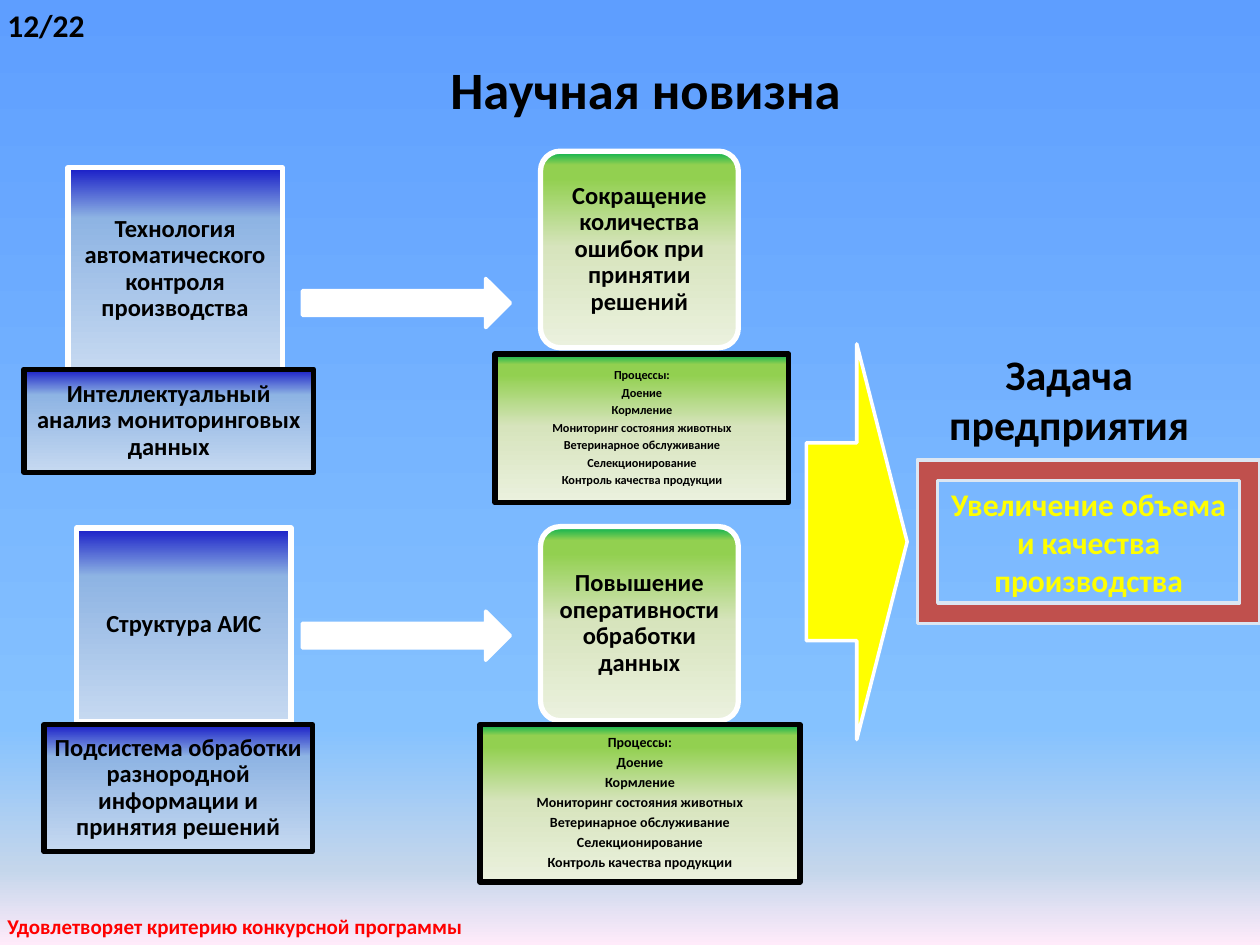
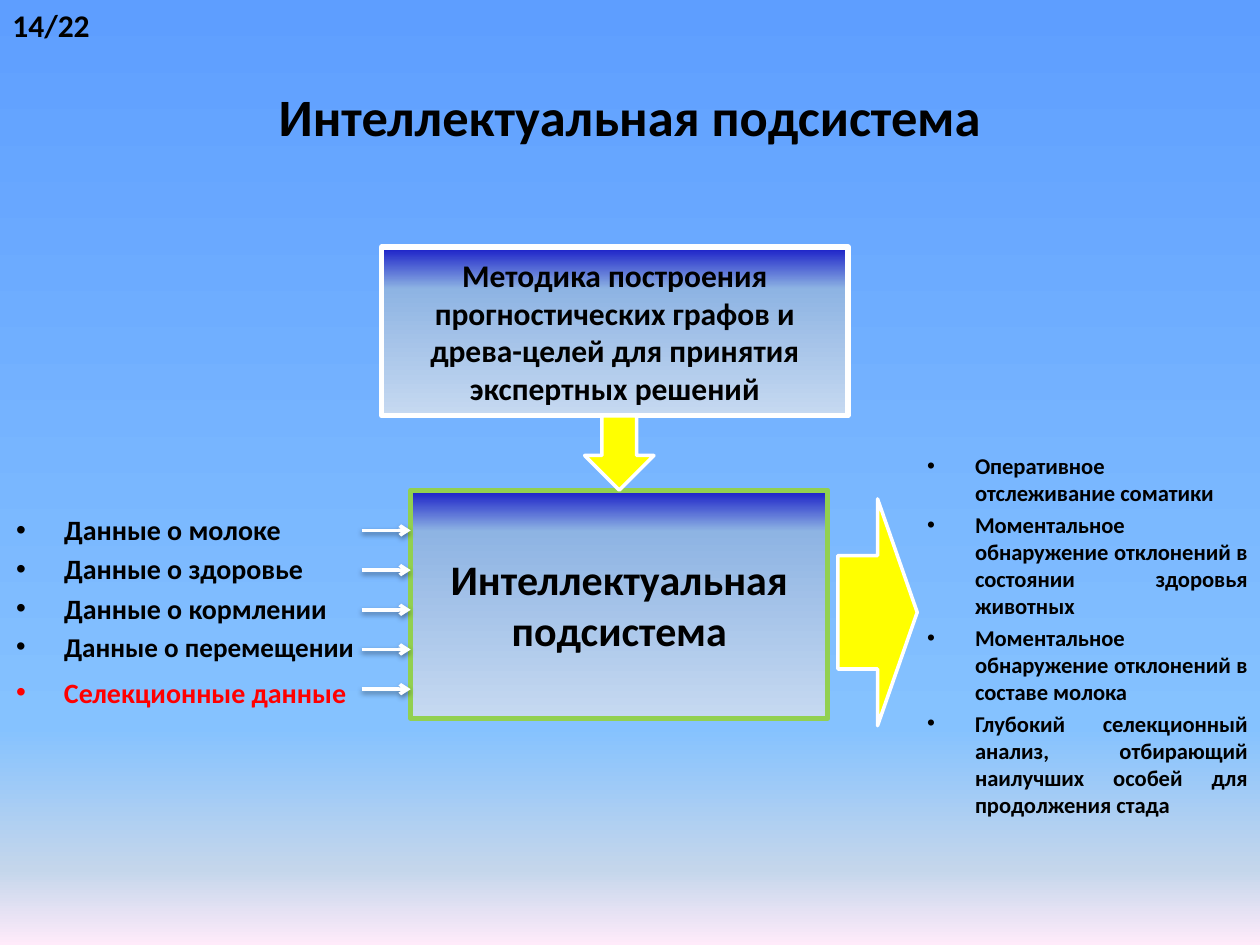
from lxml.etree import SubElement
from pptx import Presentation
from pptx.dml.color import RGBColor
from pptx.enum.shapes import MSO_CONNECTOR, MSO_SHAPE
from pptx.enum.text import MSO_ANCHOR, MSO_AUTO_SIZE, PP_ALIGN
from pptx.oxml.ns import qn
from pptx.util import Inches, Pt

COLORS = {
    "black": "000000", "white": "FFFFFF", "red": "FF0000", "yellow": "FFFF00",
    "lime": "92D050", "brick": "C0504D", "pale": "DCE6F2",
}
GRADIENTS = {
    "sky": ((0, "5E9EFF"), (77, "85C2FF"), (92, "C4D6EB"), (100, "FFEBFA")),
    "blue": ((0, "C6D9F1"), (75, "8EB4E3"), (100, "181CC7")),
    "blue_low": ((0, "C6D9F1"), (82, "8EB4E3"), (100, "181CC7")),
    "green": ((0, "EBF1DE"), (51, "D7E4BD"), (86, "92D050"), (93, "92D050"), (100, "00B050")),
}
FONT = "Calibri"
CENTER, LEFT, JUSTIFY = PP_ALIGN.CENTER, PP_ALIGN.LEFT, PP_ALIGN.JUSTIFY
COMPACT = {"inset": 0.06, "line_spacing": 0.9, "after": 0.35}
PROCESSES = (
    "Процессы:", "Доение", "Кормление", "Мониторинг состояния животных",
    "Ветеринарное обслуживание", "Селекционирование", "Контроль качества продукции",
)


def rgb(name):
    return RGBColor.from_string(COLORS[name])


class Deck:
    def __init__(self, prs):
        self.prs = prs
        self.s = None

    def gradient(self, fill, root, name, angle):
        fill.gradient()
        fill.gradient_angle = angle
        stops = root.find(".//" + qn("a:gsLst"))
        for stop in list(stops):
            stops.remove(stop)
        for pos, color in GRADIENTS[name]:
            gs = SubElement(stops, qn("a:gs"), pos=str(pos * 1000))
            SubElement(gs, qn("a:srgbClr"), val=color)

    def slide(self, title, at, size, number, number_left):
        self.s = self.prs.slides.add_slide(self.prs.slide_layouts[5])
        self.gradient(self.s.background.fill, self.s._element, "sky", 270)
        sp = self.s.shapes.title
        sp.left, sp.top, sp.width, sp.height = map(Inches, at)
        self.put_text(sp, title, size)
        self.text(number, (number_left, 0, 0.82, 0.4), 18, wrap=False)

    def put_text(self, sp, lines, size, color="black", align=CENTER, anchor=MSO_ANCHOR.MIDDLE,
                 wrap=True, inset=None, line_spacing=None, before=0, after=0, bullet=False):
        tf = sp.text_frame
        frame = {"word_wrap": wrap, "vertical_anchor": anchor,
                 "auto_size": MSO_AUTO_SIZE.NONE if wrap else MSO_AUTO_SIZE.SHAPE_TO_FIT_TEXT}
        if inset is not None:
            for side in ("left", "top", "right", "bottom"):
                frame["margin_" + side] = Inches(inset)
        for key, value in frame.items():
            setattr(tf, key, value)
        lines = (lines,) if isinstance(lines, str) else lines
        sizes = size if isinstance(size, tuple) else (size,) * len(lines)
        for i, (words, pt) in enumerate(zip(lines, sizes)):
            p = tf.paragraphs[0] if i == 0 else tf.add_paragraph()
            layout = {"alignment": align, "line_spacing": line_spacing,
                      "space_before": Pt(before * pt), "space_after": Pt(after * pt)}
            for key, value in layout.items():
                setattr(p, key, value)
            r = p.add_run()
            r.text = words
            for key, value in {"name": FONT, "size": Pt(pt), "bold": True}.items():
                setattr(r.font, key, value)
            r.font.color.rgb = rgb(color)
            if bullet:
                pPr = p._p.get_or_add_pPr()
                pPr.set("marL", str(Inches(0.53)))
                pPr.set("indent", str(Inches(-0.38)))
                SubElement(pPr, qn("a:buFont"), typeface="Arial")
                SubElement(pPr, qn("a:buChar"), char="•")

    def text(self, lines, at, size, **style):
        sp = self.s.shapes.add_textbox(*map(Inches, at))
        self.put_text(sp, lines, size, **{"align": LEFT, "anchor": MSO_ANCHOR.TOP, **style})

    def bullets(self, lines, at, size, color="black"):
        self.text(lines, at, size, color=color, align=JUSTIFY, before=0.2, bullet=True)

    def shape(self, kind, at, fill, border="white", width=2):
        sp = self.s.shapes.add_shape(kind, *map(Inches, at))
        sp.shadow.inherit = False
        if fill in GRADIENTS:
            self.gradient(sp.fill, sp._element, fill, 90)
        else:
            sp.fill.solid()
            sp.fill.fore_color.rgb = rgb(fill)
        sp.line.color.rgb = rgb(border)
        sp.line.width = Pt(width)
        return sp

    def box(self, lines, at, fill, size=14, border="white", kind=MSO_SHAPE.RECTANGLE, **style):
        sp = self.shape(kind, at, fill, border, 3)
        if kind == MSO_SHAPE.ROUNDED_RECTANGLE:
            sp.adjustments[0] = 0.1
        self.put_text(sp, lines, size, **style)

    def arrow_line(self, x1, x2, y):
        cn = self.s.shapes.add_connector(
            MSO_CONNECTOR.STRAIGHT, Inches(x1), Inches(y), Inches(x2), Inches(y))
        cn.line.color.rgb = rgb("white")
        cn.line.width = Pt(2)
        spPr = cn._element.spPr
        SubElement(spPr.find(qn("a:ln")), qn("a:tailEnd"), type="arrow")
        effects = SubElement(spPr, qn("a:effectLst"))
        shadow = SubElement(effects, qn("a:outerShdw"), blurRad=str(Pt(3.1)),
                            dist=str(Pt(1.6)), dir="5400000", rotWithShape="0")
        color = SubElement(shadow, qn("a:srgbClr"), val=COLORS["black"])
        SubElement(color, qn("a:alpha"), val="38000")


def novelty(deck):
    deck.slide("Задача предприятия", (6.97, 2.67, 3.03, 0.99), 24, "12/22", -0.04)
    deck.text("Научная новизна", (0.61, 0.2, 9.03, 1.01), 30,
              align=CENTER, anchor=MSO_ANCHOR.MIDDLE)
    deck.text("Удовлетворяет критерию конкурсной программы", (-0.04, 7.2, 3.85, 0.3), 12,
              color="red", wrap=False)
    sources = (
        ("Технология автоматического контроля производства", (0.54, 1.33, 1.7, 1.61), "white"),
        ("Интеллектуальный анализ мониторинговых данных", (0.19, 2.93, 2.3, 0.82), "black"),
        ("Структура АИС", (0.61, 4.19, 1.7, 1.54), "white"),
        ("Подсистема обработки разнородной информации и принятия решений",
         (0.35, 5.75, 2.13, 1.01), "black"),
    )
    for words, at, border in sources:
        deck.box(words, at, "blue", border=border, **COMPACT)
    effects = (
        ("Сокращение количества ошибок при принятии решений", (4.29, 1.2, 1.57, 1.56)),
        ("Повышение оперативности обработки данных", (4.29, 4.18, 1.57, 1.54)),
    )
    for words, at in effects:
        deck.box(words, at, "green", kind=MSO_SHAPE.ROUNDED_RECTANGLE, **COMPACT)
    for at, size, inset in (((3.93, 2.81, 2.33, 1.18), 7, 0.03),
                            ((3.81, 5.75, 2.54, 1.25), 8, 0.06)):
        deck.box(PROCESSES, at, "green", size, "black", **{**COMPACT, "inset": inset})
    for top in (2.21, 4.85):
        deck.shape(MSO_SHAPE.RIGHT_ARROW, (2.4, top, 1.65, 0.39), "white")
    goal = deck.shape(MSO_SHAPE.FRAME, (7.28, 3.65, 2.72, 1.3), "brick", "pale")
    deck.put_text(goal, "Увеличение объема и качества производства", 18, "yellow")
    deck.shape(MSO_SHAPE.RIGHT_ARROW, (6.4, 2.73, 0.8, 3.14), "yellow")


def subsystem(deck):
    deck.slide("Интеллектуальная подсистема", (0.5, 0.29, 9, 1.25), 30, "14/22", 0)
    deck.box("Интеллектуальная подсистема", (3.26, 3.89, 3.31, 1.81), "blue_low", 24, "lime")
    deck.box("Методика построения прогностических графов и древа-целей для принятия "
             "экспертных решений", (3.03, 1.96, 3.7, 1.34), "blue", 18)
    deck.shape(MSO_SHAPE.DOWN_ARROW, (4.64, 3.3, 0.55, 0.59), "yellow")
    deck.shape(MSO_SHAPE.RIGHT_ARROW, (6.65, 3.96, 0.63, 1.8), "yellow")
    deck.bullets(("Данные о молоке", "Данные о здоровье", "Данные о кормлении",
                  "Данные о перемещении"), (-0.12, 4.02, 3.05, 1.52), (16, 16, 16, 15.5))
    deck.bullets("Селекционные данные", (-0.12, 5.31, 3.07, 0.39), 16, "red")
    for i in range(5):
        deck.arrow_line(2.87, 3.26, 4.21 + i * 0.315)
    deck.bullets(("Оперативное отслеживание соматики",
                  "Моментальное обнаружение отклонений в состоянии здоровья животных",
                  "Моментальное обнаружение отклонений в составе молока",
                  "Глубокий селекционный анализ, отбирающий наилучших особей для "
                  "продолжения стада"), (7.11, 3.54, 2.89, 2.87), 12.9)


def main():
    prs = Presentation()
    prs.slide_width, prs.slide_height = Inches(10), Inches(7.5)
    deck = Deck(prs)
    novelty(deck)
    subsystem(deck)
    prs.save("out.pptx")


if __name__ == "__main__":
    main()
